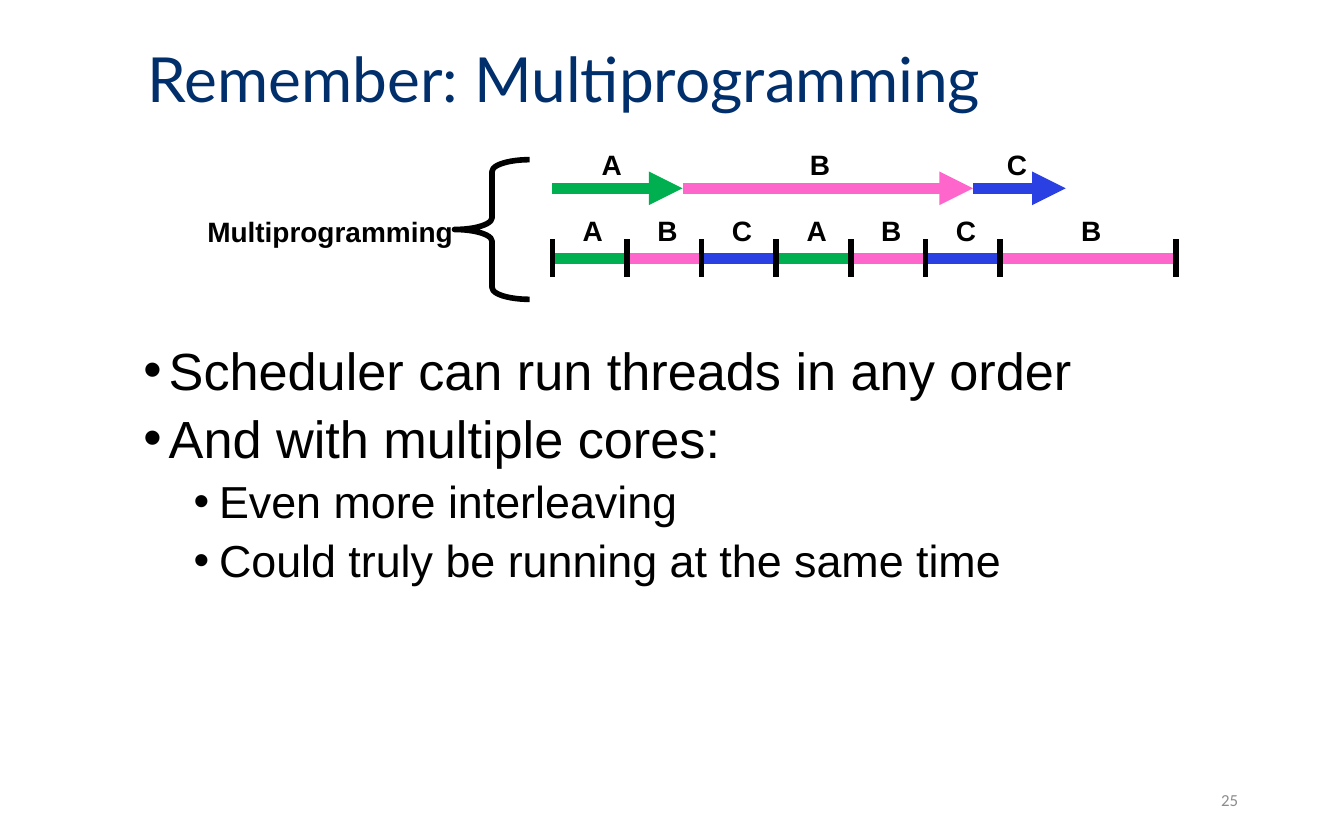
from pptx import Presentation
from pptx.dml.color import RGBColor
from pptx.enum.shapes import MSO_CONNECTOR, MSO_SHAPE
from pptx.enum.text import MSO_ANCHOR, PP_ALIGN
from pptx.oxml.ns import qn
from pptx.util import Cm, Pt
from lxml.etree import SubElement

COLOURS = {"A": "00B050", "B": "FF66CC", "C": "2A40E2"}
LABEL = {"name": "Arial", "size": Pt(15), "bold": True}
ARROWS = [("A", 10.44, 12.9, 11.56), ("B", 12.9, 18.39, 15.5), ("C", 18.39, 20.14, 19.22)]
TIMELINE_LEFT, TIMELINE_END, SLOT = 10.44, 22.23, 1.41
BULLETS = [
    (0, "Scheduler can run threads in any order"),
    (0, "And with multiple cores:"),
    (1, "Even more interleaving"),
    (1, "Could truly be running at the same time"),
]
LEVELS = [
    {"indent": 0.48, "size": 28, "before": 8},
    {"indent": 1.43, "size": 24, "before": 7},
]


def colour(value):
    """Turn a hex string into a colour."""
    return RGBColor.from_string(value)


def style_font(font, values, fill="000000"):
    """Apply a dict of font values and a colour."""
    for name, value in values.items():
        setattr(font, name, value)
    font.color.rgb = colour(fill)


def add_box(page, left, top, width, height, wrap=True, anchor=MSO_ANCHOR.TOP):
    """Add an empty text box and return its text frame."""
    frame = page.shapes.add_textbox(Cm(left), Cm(top), Cm(width), Cm(height)).text_frame
    frame.word_wrap = wrap
    frame.vertical_anchor = anchor
    return frame


def write(paragraph, text, values, fill="000000", **layout):
    """Put one styled run and paragraph settings into a paragraph."""
    span = paragraph.add_run()
    span.text = text
    style_font(span.font, values, fill)
    for name, value in layout.items():
        setattr(paragraph, name, value)


def add_label(page, text, centre, top, width=0.9):
    """Add a bold label centred on a horizontal position."""
    frame = add_box(page, centre - width / 2, top, width, 0.88, wrap=False)
    write(frame.paragraphs[0], text, LABEL, alignment=PP_ALIGN.CENTER)


def add_line(page, start, end, fill, width, arrow=False):
    """Add a straight line, with an arrowhead if wanted."""
    line = page.shapes.add_connector(
        MSO_CONNECTOR.STRAIGHT, *(Cm(value) for value in (*start, *end))
    )
    line.line.color.rgb = colour(fill)
    line.line.width = Pt(width)
    properties = line.line._get_or_add_ln()
    if arrow:
        SubElement(properties, qn("a:tailEnd"), type="triangle")
    SubElement(properties.getparent(), qn("a:effectLst"))


def add_tick(page, x):
    """Add a vertical mark on the timeline."""
    add_line(page, (x, 4.52), (x, 5.23), "000000", 3)


def add_thread_arrows(page):
    """Draw each thread as one uninterrupted arrow."""
    for name, start, end, centre in ARROWS:
        add_line(page, (start, 3.56), (end, 3.56), COLOURS[name], 6, arrow=True)
        add_label(page, name, centre, 2.67)


def add_timeline(page):
    """Draw the interleaved threads as slots between ticks."""
    order = "ABCABCB"
    starts = [TIMELINE_LEFT + SLOT * index for index in range(len(order))]
    ends = starts[1:] + [TIMELINE_END]
    for name, start, end in zip(order, starts, ends):
        add_line(page, (start, 4.88), (end, 4.88), COLOURS[name], 6)
        add_label(page, name, (start + end) / 2 + 0.06, 3.91)
    for x in starts + [TIMELINE_END]:
        add_tick(page, x)


def add_brace(page):
    """Draw the brace that joins both rows to their label."""
    brace = page.shapes.add_shape(MSO_SHAPE.LEFT_BRACE, Cm(8.59), Cm(3.02), Cm(1.42), Cm(2.64))
    brace.adjustments[0] = 0.156
    brace.shadow.inherit = False
    brace.fill.background()
    brace.line.color.rgb = colour("000000")
    brace.line.width = Pt(3)


def add_bullets(page):
    """Write the two-level bullet list."""
    frame = add_box(page, 2.46, 6.45, 20.17, 6.17)
    for index, (depth, text) in enumerate(BULLETS):
        paragraph = frame.add_paragraph() if index else frame.paragraphs[0]
        level = LEVELS[depth]
        properties = paragraph._p.get_or_add_pPr()
        properties.set("marL", str(Cm(level["indent"])))
        properties.set("indent", str(Cm(-0.48)))
        SubElement(properties, qn("a:buFont"), typeface="Arial")
        SubElement(properties, qn("a:buChar"), char="•")
        before = Pt(level["before"] if index else 0)
        write(paragraph, text, {"name": "Arial", "size": Pt(level["size"])},
              level=depth, line_spacing=0.85, space_before=before)


def main():
    """Build the slide and save the deck."""
    deck = Presentation()
    deck.slide_width, deck.slide_height = Cm(25.4), Cm(15.88)
    page = deck.slides.add_slide(deck.slide_layouts[6])
    title = add_box(page, 2.54, 0.03, 19.71, 3.07, anchor=MSO_ANCHOR.MIDDLE)
    write(title.paragraphs[0], "Remember: Multiprogramming",
          {"name": "Lato", "size": Pt(33.3)}, "002F6C", line_spacing=0.9)
    add_bullets(page)
    add_thread_arrows(page)
    add_timeline(page)
    add_brace(page)
    add_label(page, "Multiprogramming", 6.24, 3.94, width=5.2)
    number = add_box(page, 17.93, 14.71, 5.72, 0.84, anchor=MSO_ANCHOR.MIDDLE)
    write(number.paragraphs[0], "25", {"name": "Calibri", "size": Pt(9)}, "8C8C8C",
          alignment=PP_ALIGN.RIGHT)
    deck.save("out.pptx")


if __name__ == "__main__":
    main()
